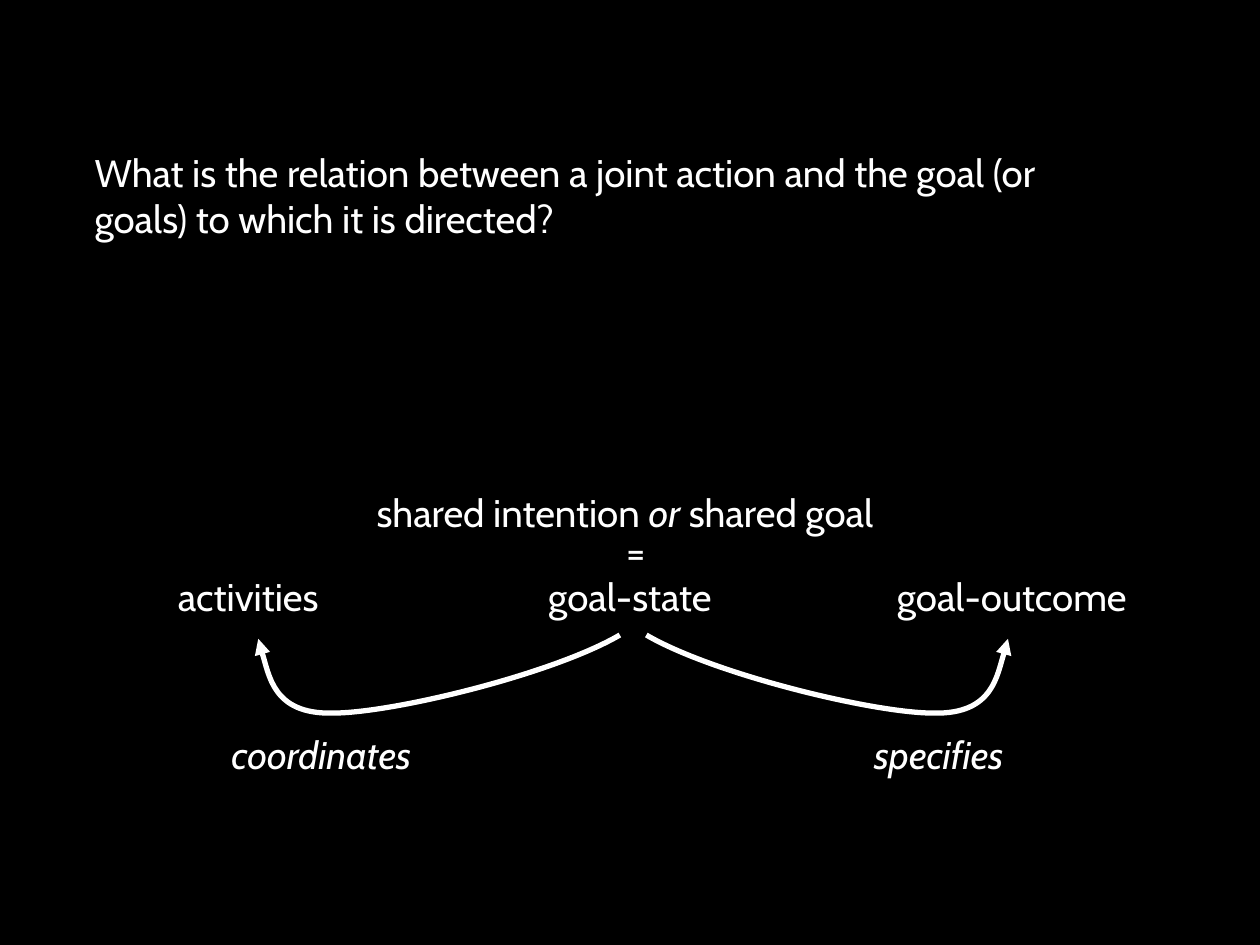
import pptx
import pptx.dml.color
import pptx.enum.text
import pptx.oxml
import pptx.oxml.ns
import pptx.util

INCH = pptx.util.Inches
ALIGN = pptx.enum.text.PP_ALIGN
WHITE, BLACK = "FFFFFF", "000000"
FONT, TEXT_SIZE = "Cabin", 22
LABEL_WIDTH, LINE_HEIGHT = 2.1, 0.47
FIRST_COLUMN, COLUMN_STEP = 0.92, 3.03
STATE_ROW, RELATION_ROW = 4.5, 5.75
MIRROR_SUM = 10.05  # left and right arrow positions add up to this
# Start, then two control points and an end for each curve
LEFT_ARROW = [(4.92, 5.04),
              (4.39, 5.35), (3.12, 5.66), (2.64, 5.66),
              (2.16, 5.67), (2.05, 5.07), (2.05, 5.07)]


def color(value):
    return pptx.dml.color.RGBColor.from_string(value)


def write_text(box, spans, align):
    """Fill a box with one paragraph of (text, italic) spans."""
    frame = box.text_frame
    frame.word_wrap = True
    frame.auto_size = pptx.enum.text.MSO_AUTO_SIZE.SHAPE_TO_FIT_TEXT
    frame.vertical_anchor = pptx.enum.text.MSO_ANCHOR.TOP
    para = frame.paragraphs[0]
    para.alignment = align
    for text, italic in spans:
        span = para.add_run()
        span.text = text
        span.font.name = FONT
        span.font.size = pptx.util.Pt(TEXT_SIZE)
        span.font.italic = italic
        span.font.color.rgb = color(WHITE)


def add_label(page, left, top, spans, width=LABEL_WIDTH):
    box = page.shapes.add_textbox(
        INCH(left), INCH(top), INCH(width), INCH(LINE_HEIGHT))
    write_text(box, spans, ALIGN.CENTER)


def add_title(page, text):
    title = page.shapes.title
    title.left, title.top = INCH(0.65), INCH(1.13)
    title.width, title.height = INCH(7.98), INCH(0.84)
    write_text(title, [(text, False)], ALIGN.LEFT)


def add_curved_arrow(page, points):
    """Draw a Bezier outline, open and unfilled, with a head at its end."""
    start, *rest = [(INCH(x), INCH(y)) for x, y in points]
    builder = page.shapes.build_freeform(*start)
    builder.add_line_segments(rest, close=False)
    arrow = builder.convert_to_shape()
    arrow.shadow.inherit = False
    arrow.fill.background()
    arrow.line.color.rgb = color(WHITE)
    arrow.line.width = pptx.util.Pt(3)

    qn = pptx.oxml.ns.qn
    segments = list(arrow.element.iter(qn("a:lnTo")))
    for index in range(0, len(segments), 3):
        curve = segments[index]
        curve.addprevious(pptx.oxml.parse_xml(
            f'<a:cubicBezTo {pptx.oxml.ns.nsdecls("a")}/>'))
        bezier = curve.getprevious()
        for segment in segments[index:index + 3]:
            bezier.append(segment[0])
            segment.getparent().remove(segment)

    outline = arrow.element.spPr.find(qn("a:ln"))
    outline.append(pptx.oxml.parse_xml(
        f'<a:tailEnd {pptx.oxml.ns.nsdecls("a")} type="triangle"/>'))


def main():
    deck = pptx.Presentation()
    deck.slide_width, deck.slide_height = INCH(10), INCH(7.5)
    page = deck.slides.add_slide(deck.slide_layouts.get_by_name("Title Only"))
    page.background.fill.solid()
    page.background.fill.fore_color.rgb = color(BLACK)

    add_title(page, "What is the relation between a joint action and the "
                    "goal (or goals) to which it is directed?")

    for column, state in enumerate(["activities", "goal-state", "goal-outcome"]):
        add_label(page, FIRST_COLUMN + column * COLUMN_STEP, STATE_ROW,
                  [(state, False)])
    for left, relation in [(1.5, "coordinates"), (6.4, "specifies")]:
        add_label(page, left, RELATION_ROW, [(relation, True)])

    add_label(page, 1.69, 3.83, [("shared intention ", False), ("or", True),
                                 (" shared goal", False)], width=6.54)
    add_label(page, 4.69, 4.14, [("=", False)], width=0.71)

    add_curved_arrow(page, LEFT_ARROW)
    add_curved_arrow(page, [(MIRROR_SUM - x, y) for x, y in LEFT_ARROW])

    deck.save("out.pptx")


if __name__ == "__main__":
    main()
